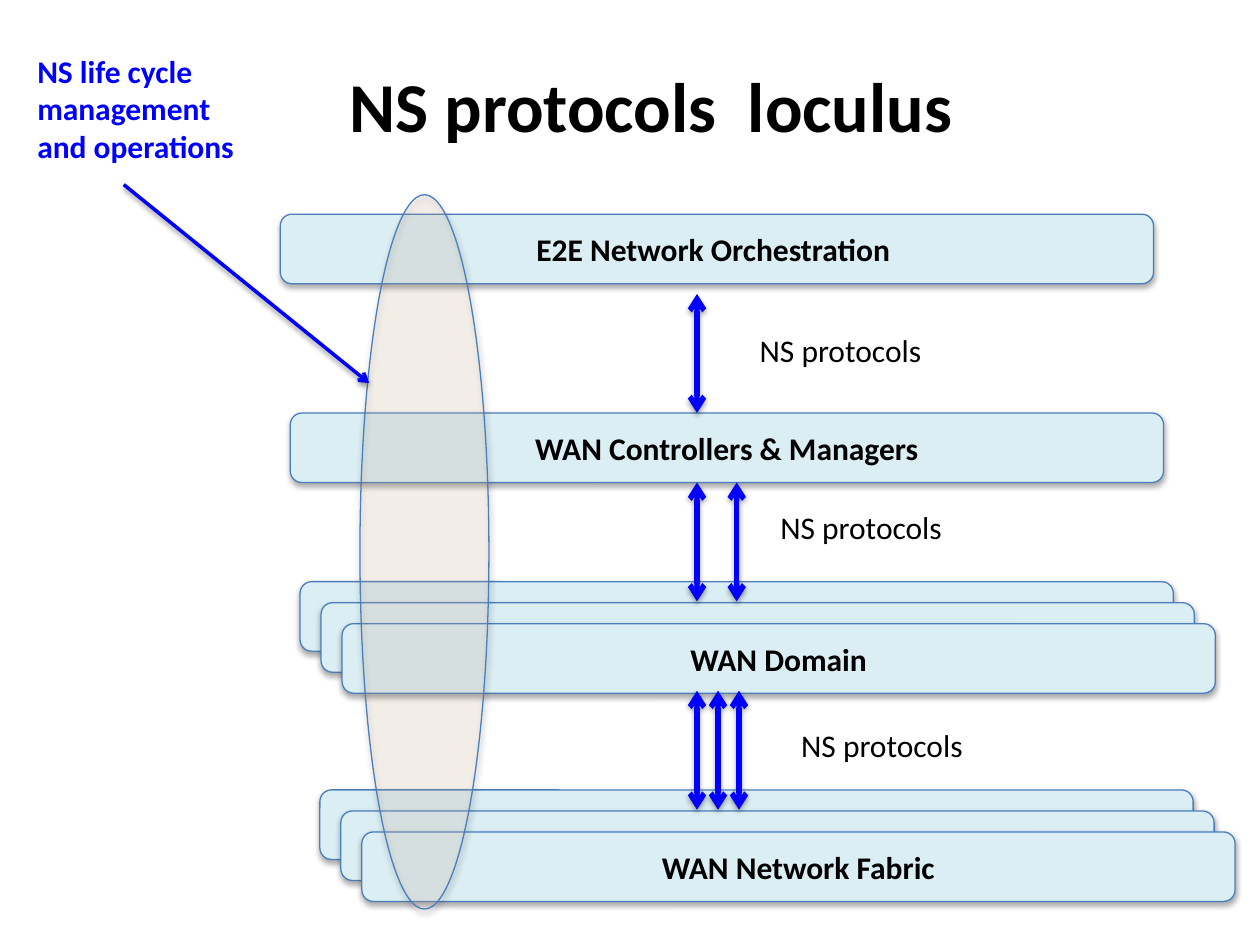
from lxml import etree
from pptx import Presentation
from pptx.dml.color import RGBColor
from pptx.enum import shapes, text
from pptx.oxml import parse_xml
from pptx.oxml.ns import nsdecls, qn
from pptx.util import Pt

BLUE, BLACK, PALE, EDGE = "0000FF", "000000", "DBEEF4", "4B7EBC"


def paint(color, value):
    color.rgb = RGBColor.from_string(value)


def add_shadow(sp, dist, opacity):
    sp._element.spPr.append(parse_xml(
        f'<a:effectLst {nsdecls("a")}>'
        f'<a:outerShdw blurRad="{Pt(3.15)}" dist="{Pt(dist)}" dir="5400000" rotWithShape="0">'
        f'<a:srgbClr val="000000"><a:alpha val="{opacity * 1000}"/></a:srgbClr>'
        '</a:outerShdw></a:effectLst>'))


prs = Presentation()
prs.slide_width, prs.slide_height = Pt(720), Pt(540)
slide = prs.slides.add_slide(prs.slide_layouts[5])

# Title
title = slide.shapes.title
title.left, title.top, title.width, title.height = Pt(48), Pt(15), Pt(648), Pt(90)
title.text_frame.vertical_anchor = text.MSO_ANCHOR.MIDDLE
p = title.text_frame.paragraphs[0]
p.text = "NS protocols  loculus"
p.alignment = text.PP_ALIGN.CENTER
p.font.name, p.font.size, p.font.bold = "Calibri", Pt(40), True
paint(p.font.color, BLACK)

# Layers: label, left, top, number of stacked cards; only the front card is labelled
layers = [
    ("E2E Network Orchestration ", 160.2, 122.4, 1),
    ("WAN Controllers & Managers", 165.9, 236, 1),
    ("WAN Domain", 171.5, 332.4, 3),
    ("WAN Network Fabric", 182.8, 451.4, 3),
]
for label, left, top, count in layers:
    for i in range(count):
        sp = slide.shapes.add_shape(shapes.MSO_SHAPE.ROUNDED_RECTANGLE,
                                    Pt(left + 12 * i), Pt(top + 12 * i), Pt(499), Pt(39.7))
        sp.fill.solid()
        paint(sp.fill.fore_color, PALE)
        paint(sp.line.color, EDGE)
        sp.line.width = Pt(0.75)
        add_shadow(sp, 1.8, 35)
    sp.text_frame.vertical_anchor = text.MSO_ANCHOR.MIDDLE
    p = sp.text_frame.paragraphs[0]
    p.text = label
    p.alignment = text.PP_ALIGN.CENTER
    p.font.name, p.font.size, p.font.bold = "Calibri", Pt(18), True
    paint(p.font.color, BLACK)

# Life cycle ellipse, across all layers
sp = slide.shapes.add_shape(shapes.MSO_SHAPE.OVAL, Pt(205.7), Pt(111.3), Pt(73.7), Pt(408.2))
sp.fill.solid()
paint(sp.fill.fore_color, "FCD5B5")
rgb = sp._element.spPr.find(f"{qn('a:solidFill')}/{qn('a:srgbClr')}")
etree.SubElement(rgb, qn("a:alpha"), val="15000")
paint(sp.line.color, EDGE)
sp.line.width = Pt(0.75)
add_shadow(sp, 1.8, 35)

# Arrows: two-headed between layers, one-headed from the life cycle note
arrows = [(x, top, x, top + 68, 3, ("headEnd", "tailEnd"))
          for top, xs in [(168, [398.3]), (275.7, [398.3, 421]), (394.7, [398.3, 410.3, 422.3])]
          for x in xs]
arrows.append((70.7, 105.5, 211, 219, 2, ("tailEnd",)))
for x1, y1, x2, y2, width, ends in arrows:
    line = slide.shapes.add_connector(shapes.MSO_CONNECTOR.STRAIGHT,
                                      Pt(x1), Pt(y1), Pt(x2), Pt(y2))
    paint(line.line.color, BLUE)
    line.line.width = Pt(width)
    for end in ends:
        etree.SubElement(line.line._get_or_add_ln(), qn(f"a:{end}"), type="arrow")
    add_shadow(line, 1.6, 38)

# Notes
notes = [
    (["NS protocols"], 427, 185.4, 109, 29, BLACK, False),
    (["NS protocols"], 438.8, 286.6, 109, 29, BLACK, False),
    (["NS protocols"], 450.7, 411.3, 109, 29, BLACK, False),
    (["NS life cycle", "management", "and operations"], 14.2, 26, 129, 72.7, BLUE, True),
]
for lines, left, top, width, height, color, bold in notes:
    tf = slide.shapes.add_textbox(Pt(left), Pt(top), Pt(width), Pt(height)).text_frame
    tf.word_wrap = False
    tf.auto_size = text.MSO_AUTO_SIZE.SHAPE_TO_FIT_TEXT
    tf.text = "\n".join(lines)
    for p in tf.paragraphs:
        p.font.name, p.font.size, p.font.bold = "Calibri", Pt(18), bold
        paint(p.font.color, color)

prs.save("out.pptx")
